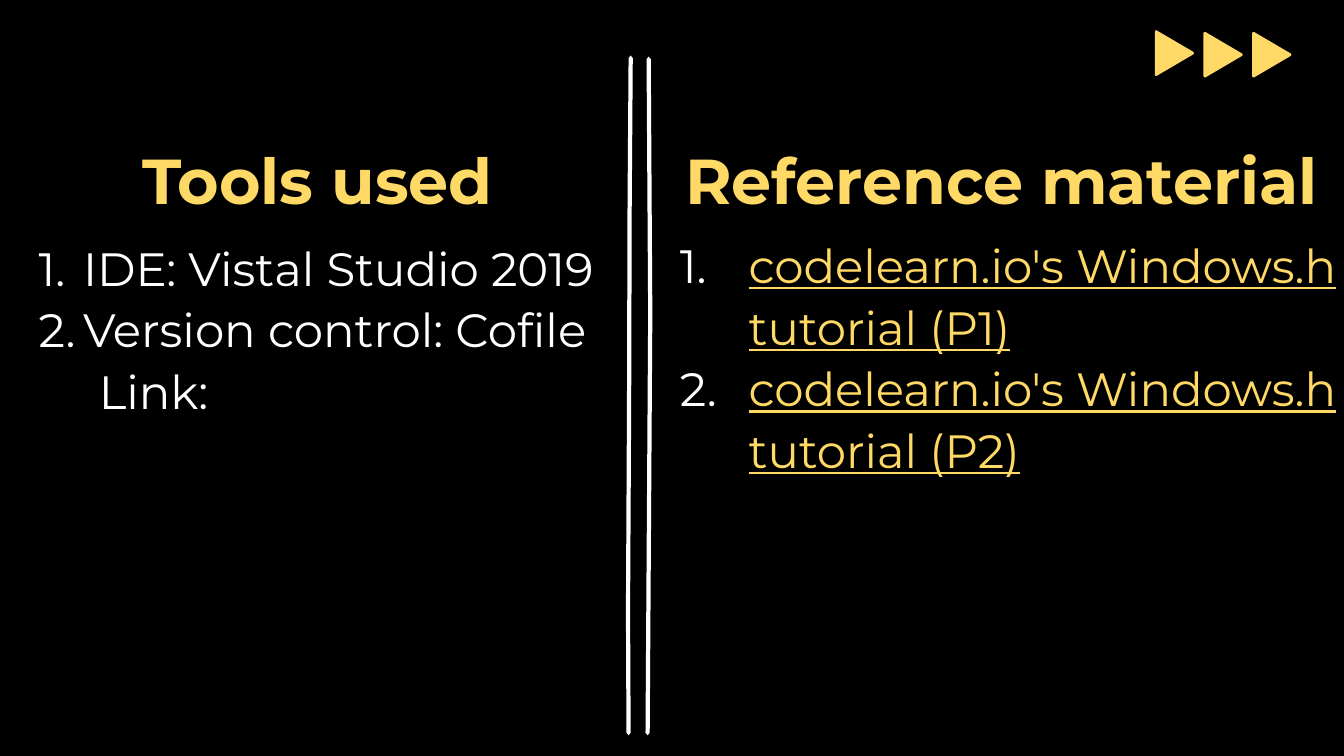
"""Build a two-column slide of tools used and reference material."""
from lxml import etree
from pptx import Presentation
from pptx.dml.color import RGBColor
from pptx.enum.shapes import MSO_SHAPE
from pptx.enum.text import MSO_AUTO_SIZE, PP_ALIGN
from pptx.oxml.ns import qn
from pptx.util import Cm, Pt

TRIANGLE = MSO_SHAPE.ISOSCELES_TRIANGLE
CENTER = PP_ALIGN.CENTER
GROW = MSO_AUTO_SIZE.SHAPE_TO_FIT_TEXT
FONT = "Montserrat"
HEX = {"black": "000000", "white": "FFFFFF", "gold": "FFD966"}


def add_box(left, top, width, height):
    frame = slide.shapes.add_textbox(Cm(left), Cm(top), Cm(width), Cm(height)).text_frame
    frame.word_wrap = True
    frame.auto_size = GROW
    return frame


def add_run(para, text, size, color):
    run = para.add_run()
    run.text = text
    run.font.name = FONT
    run.font.size = Pt(size)
    run.font.color.rgb = RGBColor.from_string(HEX[color])
    return run


deck = Presentation()
deck.slide_width, deck.slide_height = Cm(25.4), Cm(14.29)
slide = deck.slides.add_slide(deck.slide_layouts[6])
fill = slide.background.fill
fill.solid()
fill.fore_color.rgb = RGBColor.from_string(HEX["black"])

for i, top in enumerate([0.66, 0.69, 0.69]):
    arrow = slide.shapes.add_shape(TRIANGLE, Cm(21.79 + 0.92 * i), Cm(top), Cm(0.81), Cm(0.69))
    arrow.rotation = 90
    arrow.shadow.inherit = False
    arrow.fill.solid()
    arrow.fill.fore_color.rgb = RGBColor.from_string(HEX["gold"])
    arrow.line.color.rgb = RGBColor.from_string(HEX["gold"])
    arrow.line.width = Pt(1.5)

spines = [
    [(12.26, 1.12), (12.29, 5.94), (12.24, 13.85)],
    [(11.92, 1.1), (11.9, 3.94), (11.89, 7.6), (11.87, 11.55), (11.88, 13.85)],
]
half = 0.04
for spine in spines:
    (head, start), (foot, end) = spine[0], spine[-1]
    right = [(x + half, y) for x, y in spine]
    left = [(x - half, y) for x, y in reversed(spine)]
    edge = [(head, start - 0.05), *right, (foot, end + 0.05), *left]
    points = [(Cm(x), Cm(y)) for x, y in edge]
    pen = slide.shapes.build_freeform(*points[0])
    pen.add_line_segments(points[1:], close=True)
    stroke = pen.convert_to_shape()
    stroke.shadow.inherit = False
    stroke.fill.solid()
    stroke.fill.fore_color.rgb = RGBColor.from_string(HEX["white"])
    stroke.line.fill.background()

for left, title in [(-0.5, "Tools used "), (12.26, "Reference material")]:
    para = add_box(left, 2.54, 13.34, 1.7).paragraphs[0]
    para.alignment = CENTER
    add_run(para, title, 34, "gold").font.bold = True

lists = [
    ((0.35, 4.3, 15.21, 3.68), 0.97, -0.84, "white", False,
     ["IDE: Vistal Studio 2019", "Version control: Cofile", "Link:"]),
    ((12.48, 4.25, 16.31, 4.85), 1.42, -1.3, "gold", True,
     ["codelearn.io's Windows.h tutorial (P1)", "codelearn.io's Windows.h tutorial (P2)"]),
]
for place, margin, indent, color, under, lines in lists:
    frame = add_box(*place)
    for i, text in enumerate(lines):
        para = frame.add_paragraph() if i else frame.paragraphs[0]
        props = para._p.get_or_add_pPr()
        if text == "Link:":
            props.set("marL", "0")
            props.set("indent", str(Cm(1.27)))
        else:
            props.set("marL", str(Cm(margin)))
            props.set("indent", str(Cm(indent)))
            tint = etree.SubElement(props, qn("a:buClr"))
            etree.SubElement(tint, qn("a:srgbClr"), val=HEX["white"])
            etree.SubElement(props, qn("a:buFont"), typeface=FONT)
            etree.SubElement(props, qn("a:buAutoNum"), type="arabicPeriod")
        para.line_spacing = 1.1
        add_run(para, text, 25, color).font.underline = under

deck.save("out.pptx")
